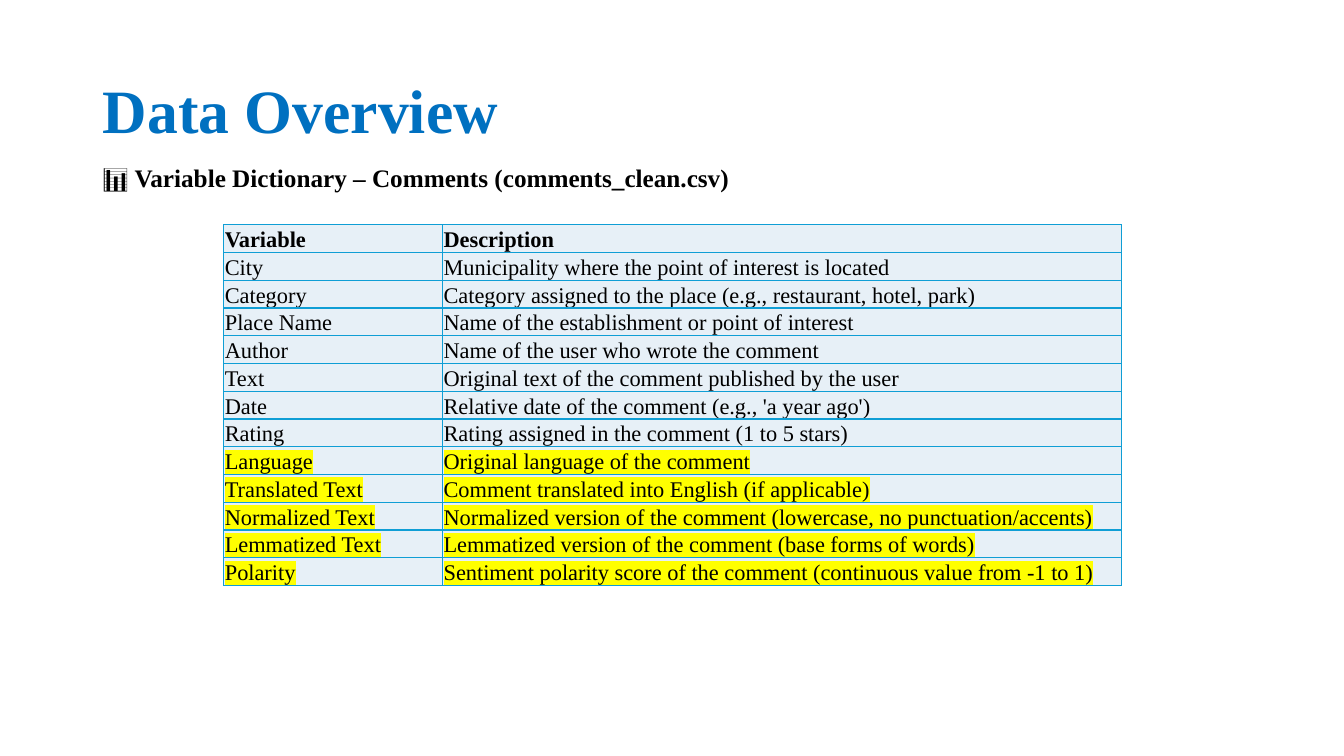
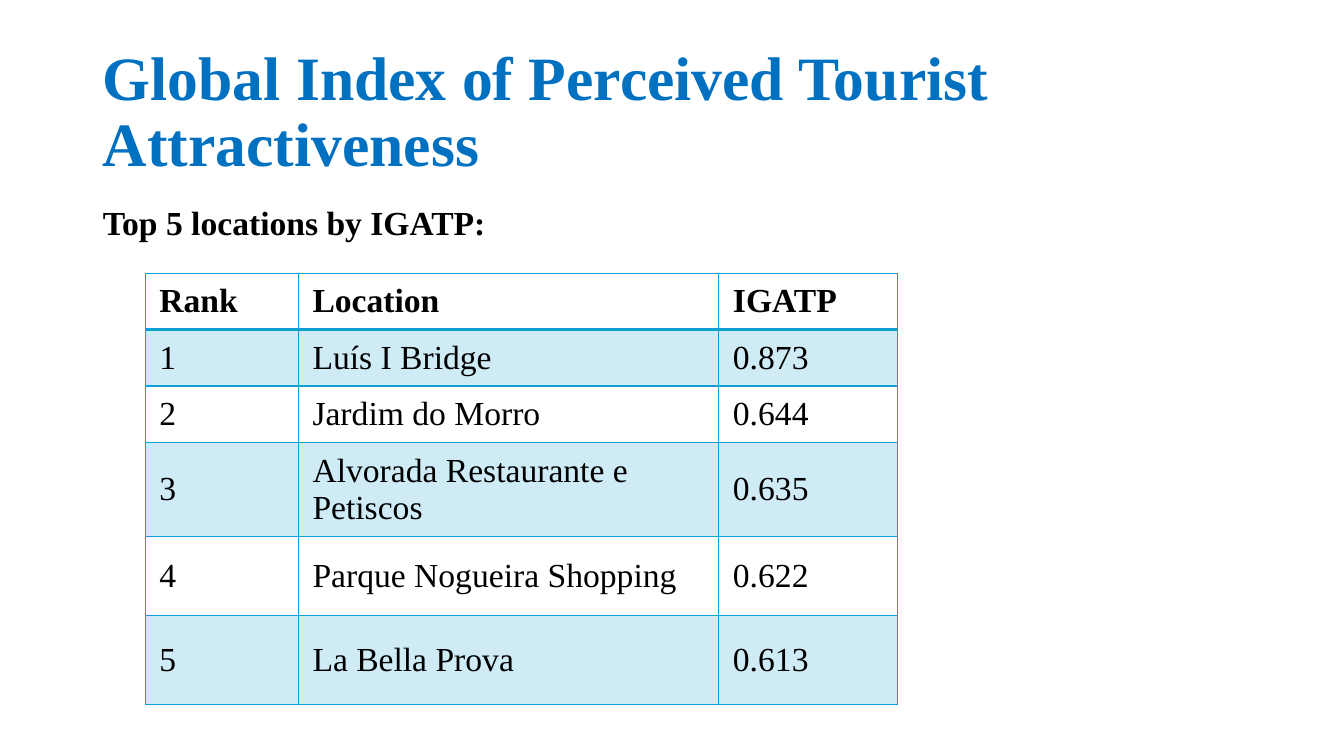
import dataclasses
import typing

import lxml.etree
import pptx
import pptx.dml.color
import pptx.enum.text
import pptx.oxml.ns
import pptx.util

Inches = pptx.util.Inches
Anchor = pptx.enum.text.MSO_ANCHOR
qn = pptx.oxml.ns.qn


@dataclasses.dataclass(frozen=True)
class Theme:
    font: str = "Times New Roman"
    title_color: str = "0070C0"
    text_color: str = "000000"
    accent: str = "0F9ED5"
    pale_fill: str = "E7F0F7"
    highlight: str = "FFFF00"
    title_size: int = 44
    large_size: int = 24
    subtitle_size: int = 18
    small_size: int = 16
    tight_spacing: float = 0.9


THEME = Theme()


class Box(typing.NamedTuple):
    left: float
    top: float
    width: float
    height: float


@dataclasses.dataclass(frozen=True)
class TableStyle:
    size: int
    anchor: Anchor
    insets: tuple  # left, top, right, bottom
    row_fills: tuple  # (colour, opacity) or None, repeated down the rows
    header_line: float = 1


DICTIONARY_STYLE = TableStyle(
    THEME.small_size, Anchor.BOTTOM, (0.01, 0.01, 0.01, 0), ((THEME.pale_fill, 100),))
RANKING_STYLE = TableStyle(
    THEME.large_size, Anchor.MIDDLE, (0.14, 0.07, 0.14, 0.07),
    (None, (THEME.accent, 20)), header_line=2)

TITLE_BOX = Box(0.92, 0.4, 11.5, 1.45)

VARIABLES = [
    ("Variable", "Description"),
    ("City", "Municipality where the point of interest is located"),
    ("Category", "Category assigned to the place (e.g., restaurant, hotel, park)"),
    ("Place Name", "Name of the establishment or point of interest"),
    ("Author", "Name of the user who wrote the comment"),
    ("Text", "Original text of the comment published by the user"),
    ("Date", "Relative date of the comment (e.g., 'a year ago')"),
    ("Rating", "Rating assigned in the comment (1 to 5 stars)"),
    ("Language", "Original language of the comment"),
    ("Translated Text", "Comment translated into English (if applicable)"),
    ("Normalized Text", "Normalized version of the comment (lowercase, no punctuation/accents)"),
    ("Lemmatized Text", "Lemmatized version of the comment (base forms of words)"),
    ("Polarity", "Sentiment polarity score of the comment (continuous value from -1 to 1)"),
]
FIRST_DERIVED_ROW = 8

LOCATIONS = [
    ("Rank", "Location", "IGATP"),
    ("1", "Luís I Bridge", "0.873"),
    ("2", "Jardim do Morro", "0.644"),
    ("3", "Alvorada Restaurante e Petiscos", "0.635"),
    ("4", "Parque Nogueira Shopping", "0.622"),
    ("5", "La Bella Prova", "0.613"),
]


# Text
def add_span(para, text, size, color=THEME.text_color, bold=False, highlight=None):
    span = para.add_run()
    span.text = text
    span.font.size = pptx.util.Pt(size)
    span.font.bold = bold
    span.font.name = THEME.font
    span.font.color.rgb = pptx.dml.color.RGBColor.from_string(color)
    if highlight:
        mark = lxml.etree.Element(qn("a:highlight"))
        lxml.etree.SubElement(mark, qn("a:srgbClr"), val=highlight)
        span.font.fill._xPr.find(qn("a:solidFill")).addnext(mark)


def place_text(shape, box, anchor):
    """Move a placeholder to its box and return its first paragraph."""
    shape.left, shape.top, shape.width, shape.height = map(Inches, box)
    frame = shape.text_frame
    frame.word_wrap = True
    frame.auto_size = pptx.enum.text.MSO_AUTO_SIZE.NONE
    frame.vertical_anchor = anchor
    para = frame.paragraphs[0]
    para.alignment = pptx.enum.text.PP_ALIGN.LEFT
    para.space_before = pptx.util.Pt(0)
    return para


def add_title(page, text):
    para = place_text(page.shapes.title, TITLE_BOX, Anchor.MIDDLE)
    para.line_spacing = THEME.tight_spacing
    add_span(para, text, THEME.title_size, THEME.title_color, bold=True)


def place_subtitle(page, box, anchor):
    para = place_text(page.placeholders[1], box, anchor)
    properties = para._p.get_or_add_pPr()
    properties.set("marL", "0")
    properties.set("indent", "0")
    lxml.etree.SubElement(properties, qn("a:buNone"))
    return para


# Tables
def set_borders(cell, widths):
    """Draw the left, right, top and bottom lines, widths in points."""
    properties = cell._tc.get_or_add_tcPr()
    for index, (side, width) in enumerate(zip("LRTB", widths)):
        line = lxml.etree.Element(qn("a:ln" + side), w=str(pptx.util.Pt(width)))
        fill = lxml.etree.SubElement(line, qn("a:solidFill"))
        lxml.etree.SubElement(fill, qn("a:srgbClr"), val=THEME.accent)
        properties.insert(index, line)


def set_fill(cell, fill):
    if fill is None:
        cell.fill.background()
        return
    color, opacity = fill
    cell.fill.solid()
    cell.fill.fore_color.rgb = pptx.dml.color.RGBColor.from_string(color)
    if opacity < 100:
        node = cell._tc.tcPr.find(qn("a:solidFill"))[0]
        lxml.etree.SubElement(node, qn("a:alpha"), val=str(opacity * 1000))


def add_grid(page, box, rows, widths, heights, style, highlight_from=None):
    table = page.shapes.add_table(
        len(rows), len(widths), *map(Inches, box)).table
    table.first_row = table.horz_banding = False
    for column, width in zip(table.columns, widths):
        column.width = Inches(width)
    for index, (row, height, texts) in enumerate(zip(table.rows, heights, rows)):
        row.height = Inches(height)
        marked = highlight_from is not None and index >= highlight_from
        top = style.header_line if index == 1 else 1
        bottom = style.header_line if index == 0 else 1
        for cell, text in zip(row.cells, texts):
            (cell.margin_left, cell.margin_top,
             cell.margin_right, cell.margin_bottom) = map(Inches, style.insets)
            cell.vertical_anchor = style.anchor
            set_fill(cell, style.row_fills[index % len(style.row_fills)])
            set_borders(cell, (1, 1, top, bottom))
            add_span(cell.text_frame.paragraphs[0], text, style.size,
                     bold=index == 0, highlight=THEME.highlight if marked else None)


# Slides
def add_page(deck, title):
    page = deck.slides.add_slide(deck.slide_layouts[1])
    add_title(page, title)
    return page


def add_dictionary_page(deck):
    page = add_page(deck, "Data Overview")
    para = place_subtitle(page, Box(0.92, 1.56, 9.11, 0.4), Anchor.MIDDLE)
    add_span(para, "📊 ", THEME.subtitle_size)
    add_span(para, "Variable Dictionary – Comments (comments_clean.csv)",
             THEME.subtitle_size, bold=True)
    box = Box(2.22, 2.23, 8.9, 3.58)
    heights = [box.height / len(VARIABLES)] * len(VARIABLES)
    add_grid(page, box, VARIABLES, (2.17, 6.73), heights,
             DICTIONARY_STYLE, FIRST_DERIVED_ROW)


def add_ranking_page(deck):
    page = add_page(deck, "Global Index of Perceived Tourist Attractiveness")
    para = place_subtitle(page, Box(0.92, 2, 11.5, 5.1), Anchor.TOP)
    para.line_spacing = THEME.tight_spacing
    para.space_after = pptx.util.Pt(6)
    add_span(para, "Top 5 locations by IGATP:", THEME.large_size, bold=True)
    heights = (0.56, 0.56, 0.56, 0.93, 0.79, 0.88)
    add_grid(page, Box(1.44, 2.71, 7.46, sum(heights)), LOCATIONS,
             (1.52, 4.17, 1.77), heights, RANKING_STYLE)


def main():
    deck = pptx.Presentation()
    deck.slide_width = Inches(13.33)
    deck.slide_height = Inches(7.5)
    add_dictionary_page(deck)
    add_ranking_page(deck)
    deck.save("out.pptx")


if __name__ == "__main__":
    main()
